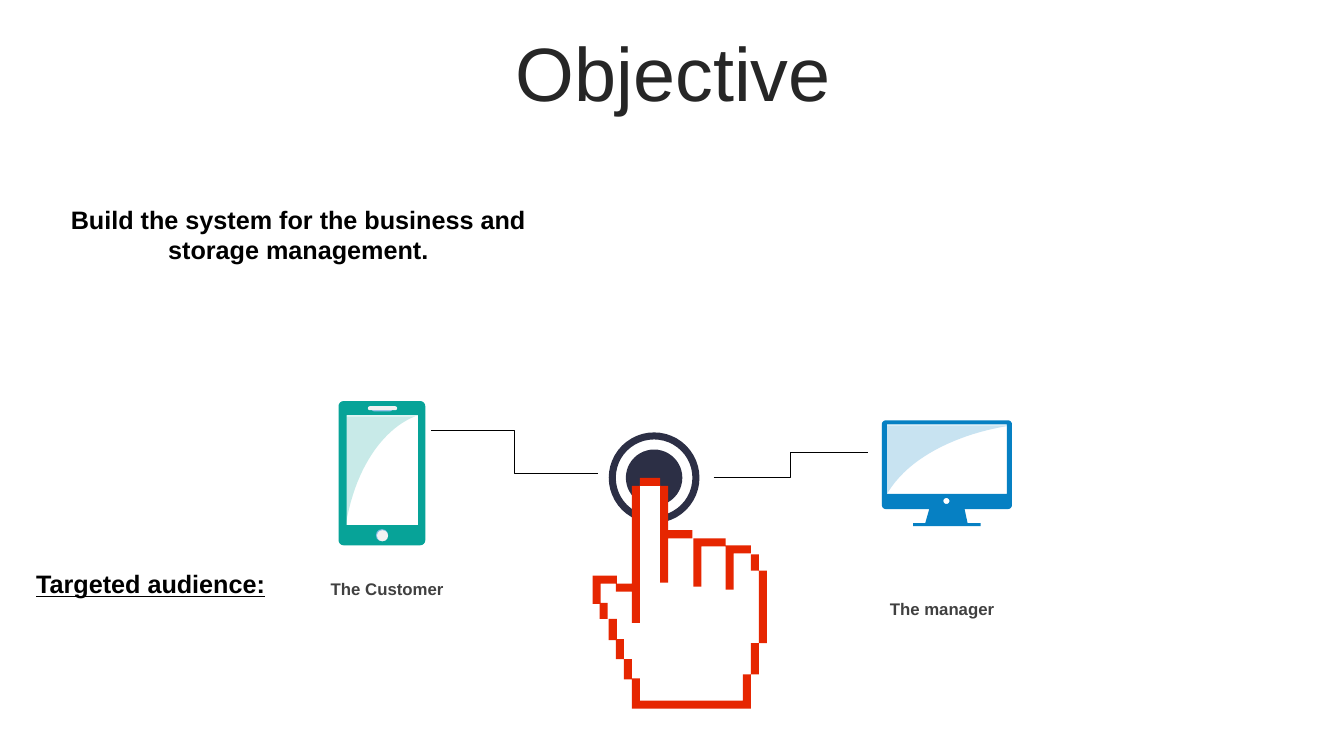
from dataclasses import dataclass
from math import cos, pi, sin

from lxml.etree import SubElement
from pptx import Presentation
from pptx.dml.color import RGBColor
from pptx.enum.shapes import MSO_CONNECTOR, MSO_SHAPE
from pptx.enum.text import MSO_ANCHOR, MSO_AUTO_SIZE, PP_ALIGN
from pptx.oxml.ns import qn
from pptx.util import Cm, Pt

Point = tuple[float, float]
Contour = list[Point]


@dataclass(frozen=True)
class Theme:
    font: str = "Arial"
    black: str = "000000"
    title: str = "262626"
    caption: str = "404040"
    navy: str = "2C2F45"
    red: str = "E62601"
    white: str = "FFFFFF"
    teal: str = "07A398"
    sky: str = "87BCE6"
    pale: str = "F2F2F2"
    blue: str = "0680C3"
    title_size: int = 54
    body_size: int = 18
    caption_size: int = 12
    line_width: int = 1
    glare_opacity: int = 22


@dataclass(frozen=True)
class Label:
    text: str
    place: tuple[float, float, float, float]
    size: int
    color: str
    align: PP_ALIGN = PP_ALIGN.LEFT
    bold: bool = True
    underline: bool = False
    heading: bool = False


@dataclass(frozen=True)
class Outline:
    contours: list[Contour]
    color: str
    opacity: int = 100


@dataclass(frozen=True)
class Preset:
    kind: MSO_SHAPE
    place: tuple[float, float, float, float]
    color: str


@dataclass(frozen=True)
class Link:
    start: Point
    end: Point


def length(inches: float) -> int:
    return Cm(inches * 2.54)


def rounded(left: float, top: float, width: float, height: float, radius: float) -> Contour:
    corners = [
        (left + width - radius, top + height - radius),
        (left + radius, top + height - radius),
        (left + radius, top + radius),
        (left + width - radius, top + radius),
    ]
    return [
        (x + radius * cos(angle), y + radius * sin(angle))
        for quarter, (x, y) in enumerate(corners)
        for angle in [(quarter + step / 12) * pi / 2 for step in range(13)]
    ]


def circle(x: float, y: float, radius: float) -> Contour:
    return rounded(x - radius, y - radius, 2 * radius, 2 * radius, radius)


def stairs(*values: float) -> Contour:
    columns, rows = values[0::2], values[1::2]
    turns = zip(columns, columns[1:] + columns[:1], rows)
    return [point for x, following, y in turns for point in ((x, y), (following, y))]


def glare(corner: Point, start: Point, first: Point, second: Point, end: Point) -> Contour:
    curve = []
    for step in range(25):
        t = step / 24
        weights = ((1 - t) ** 3, 3 * t * (1 - t) ** 2, 3 * t * t * (1 - t), t ** 3)
        anchors = (start, first, second, end)
        curve.append(tuple(sum(w * a[axis] for w, a in zip(weights, anchors)) for axis in (0, 1)))
    return [corner] + curve


def paint(shape, color: str, opacity: int = 100) -> None:
    shape.shadow.inherit = False
    shape.fill.solid()
    shape.fill.fore_color.rgb = RGBColor.from_string(color)
    shape.line.fill.background()
    if opacity < 100:
        tint = shape.element.spPr.find(".//" + qn("a:srgbClr"))
        SubElement(tint, qn("a:alpha"), val=str(opacity * 1000))


def draw_outline(shapes, outline: Outline) -> None:
    contours = [[(length(x), length(y)) for x, y in contour] for contour in outline.contours]
    builder = shapes.build_freeform(*contours[0][0])
    for index, contour in enumerate(contours):
        if index:
            builder.move_to(*contour[0])
        builder.add_line_segments(contour[1:], close=True)
    paint(builder.convert_to_shape(), outline.color, outline.opacity)


def draw_preset(shapes, preset: Preset) -> None:
    shape = shapes.add_shape(preset.kind, *map(length, preset.place))
    if preset.kind == MSO_SHAPE.ROUNDED_RECTANGLE:
        shape.adjustments[0] = 0.5
    paint(shape, preset.color)


def draw_icon(page, pieces: list[Outline | Preset]) -> None:
    group = page.shapes.add_group_shape()
    for piece in pieces:
        draw = draw_outline if isinstance(piece, Outline) else draw_preset
        draw(group.shapes, piece)


def draw_link(page, link: Link, theme: Theme) -> None:
    connector = page.shapes.add_connector(MSO_CONNECTOR.ELBOW, *map(length, link.start + link.end))
    connector.line.color.rgb = RGBColor.from_string(theme.black)
    connector.line.width = Pt(theme.line_width)
    SubElement(connector.element.spPr, qn("a:effectLst"))


def draw_label(page, label: Label, theme: Theme) -> None:
    box = page.shapes.add_textbox(*map(length, label.place))
    frame = box.text_frame
    frame.word_wrap = True
    frame.vertical_anchor = MSO_ANCHOR.MIDDLE
    frame.auto_size = MSO_AUTO_SIZE.NONE if label.heading else MSO_AUTO_SIZE.SHAPE_TO_FIT_TEXT
    para = frame.paragraphs[0]
    para.alignment = label.align
    if label.heading:
        para.line_spacing = 0.9
        para.space_before = Pt(10)
    span = para.add_run()
    span.text = label.text
    span.font.name = theme.font
    span.font.size = Pt(label.size)
    span.font.bold = label.bold
    span.font.underline = label.underline
    span.font.color.rgb = RGBColor.from_string(label.color)


def main() -> None:
    theme = Theme()
    deck = Presentation()
    deck.slide_width, deck.slide_height = Cm(33.87), Cm(19.05)
    page = deck.slides.add_slide(deck.slide_layouts[6])
    pill, dot = MSO_SHAPE.ROUNDED_RECTANGLE, MSO_SHAPE.OVAL

    button = Outline([circle(6.49, 4.74, radius) for radius in (0.28, 0.38, 0.45)], theme.navy)
    palm = stairs(
        6.35, 4.82, 6.55, 5.78, 6.63, 5.34, 6.88, 5.78, 6.95, 5.4, 7.2, 5.78, 7.21, 5.48,
        7.45, 5.66, 7.59, 6.38, 7.45, 6.69, 7.41, 6.97, 6.32, 6.73, 6.27, 6.54, 6.17, 6.34,
        6.07, 6.14, 5.99, 5.99, 5.89, 5.79, 6.14, 5.8, 6.24, 5.82, 6.32, 5.78)
    edges = [
        stairs(7.45, 6.38, 7.53, 6.69, 7.45, 7.03, 6.27, 6.73, 6.35, 6.95, 7.37, 6.69),
        stairs(6.04, 6.14, 6.12, 6.34, 6.19, 6.54, 6.27, 6.74, 6.19, 6.54, 6.11, 6.35),
        stairs(7.53, 5.66, 7.61, 6.38),
        stairs(7.45, 5.5, 7.53, 5.66),
        stairs(6.88, 5.34, 7.2, 5.41, 7.45, 5.49, 7.28, 5.85, 7.2, 5.42, 6.96, 5.82),
        stairs(6.55, 4.82, 6.63, 5.26, 6.87, 5.34, 6.63, 5.78),
        stairs(6.27, 4.82, 6.35, 6.18, 6.27, 5.87, 6.11, 5.79, 5.96, 5.98, 6.03, 6.14,
               5.95, 5.99, 5.88, 5.71, 6.12, 5.79),
        stairs(6.35, 4.74, 6.55, 4.82),
    ]
    hand = [Outline([palm], theme.white), Outline(edges, theme.red)]
    phone_glare = glare((3.43, 4.13), (3.43, 5.21), (3.54, 4.56), (3.86, 4.23), (4.12, 4.13))
    phone = [
        Outline([rounded(3.36, 3.98, 0.86, 1.43, 0.05), stairs(3.44, 4.12, 4.15, 5.21)], theme.teal),
        Preset(pill, (3.69, 4.04, 0.2, 0.04), theme.sky),
        Preset(dot, (3.73, 5.25, 0.12, 0.12), theme.sky),
        Outline([phone_glare], theme.teal, theme.glare_opacity),
        Preset(pill, (3.65, 4.03, 0.29, 0.04), theme.pale),
        Preset(dot, (3.74, 5.26, 0.11, 0.11), theme.pale),
    ]
    stand = [(9.22, 5.05), (9.57, 5.05), (9.6, 5.19), (9.73, 5.19),
             (9.73, 5.22), (9.06, 5.22), (9.06, 5.19), (9.18, 5.19)]
    screen = [rounded(8.75, 4.17, 1.29, 0.88, 0.04), stairs(8.8, 4.21, 9.99, 4.9),
              circle(9.39, 4.97, 0.03), stand]
    screen_glare = glare((8.75, 4.22), (8.75, 5), (8.95, 4.53), (9.55, 4.29), (10.04, 4.22))
    monitor = [Outline(screen, theme.blue), Outline([screen_glare], theme.blue, theme.glare_opacity)]

    draw_outline(page.shapes, button)
    draw_label(page, Label("Objective", (0.35, 0.37, 12.66, 0.79), theme.title_size, theme.title,
                           PP_ALIGN.CENTER, bold=False, heading=True), theme)
    for icon in (hand, phone, monitor):
        draw_icon(page, icon)
    for link in (Link((4.28, 4.27), (5.93, 4.7)), Link((7.08, 4.74), (8.61, 4.49))):
        draw_link(page, link, theme)
    for label in (
        Label("The manager", (8.73, 5.89, 3.08, 0.3), theme.caption_size, theme.caption),
        Label("The Customer", (1.42, 5.69, 3.08, 0.3), theme.caption_size, theme.caption, PP_ALIGN.RIGHT),
        Label("Targeted audience:", (0.26, 5.59, 2.71, 0.4), theme.body_size, theme.black, underline=True),
        Label("Build the system for the business and storage management.",
              (0.35, 1.97, 5.22, 0.71), theme.body_size, theme.black, PP_ALIGN.CENTER),
    ):
        draw_label(page, label, theme)
    deck.save("out.pptx")


if __name__ == "__main__":
    main()
